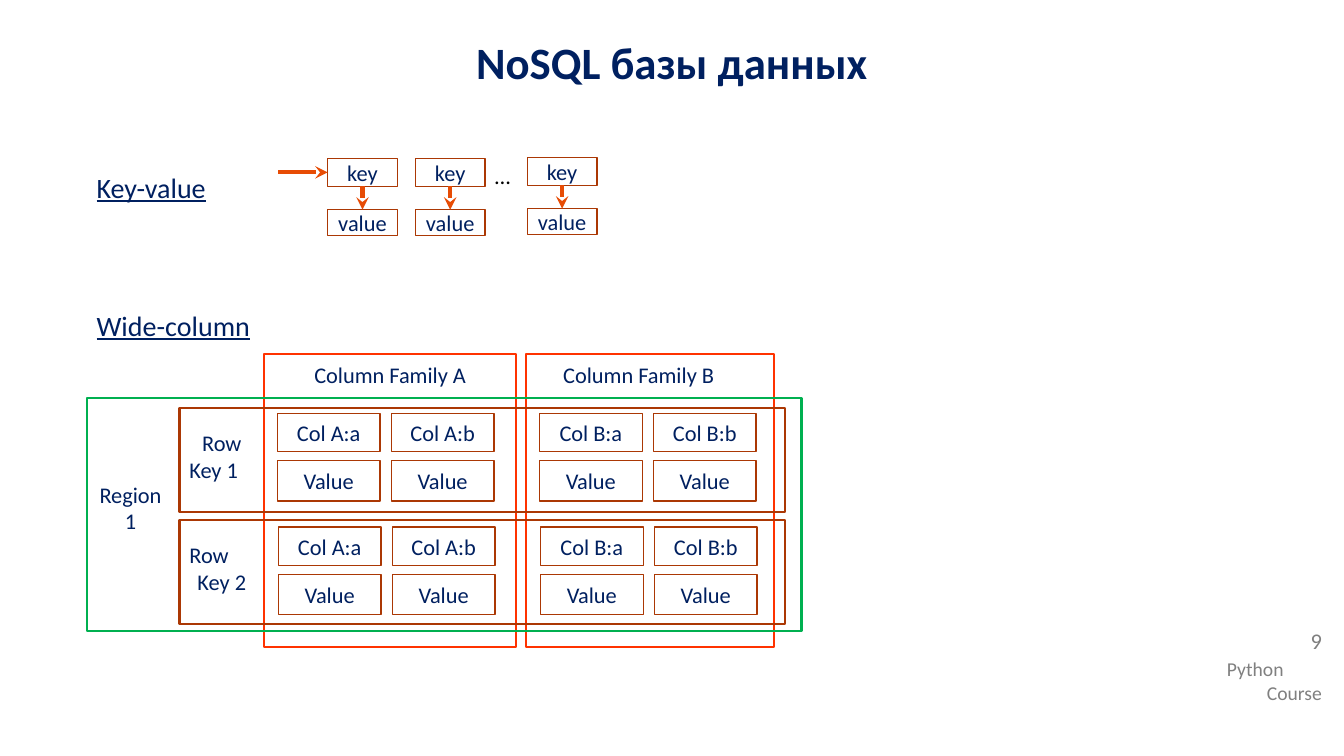
"""Builds the slide on key-value and wide-column NoSQL stores."""
from dataclasses import dataclass

from lxml import etree
from pptx import Presentation
from pptx.dml.color import RGBColor
from pptx.enum.shapes import MSO_CONNECTOR, MSO_SHAPE
from pptx.enum.text import MSO_ANCHOR, PP_ALIGN
from pptx.oxml.ns import qn
from pptx.util import Inches, Pt

RECTANGLE = MSO_SHAPE.RECTANGLE
STRAIGHT = MSO_CONNECTOR.STRAIGHT
TOP, MIDDLE = MSO_ANCHOR.TOP, MSO_ANCHOR.MIDDLE
LEFT, CENTER, RIGHT = PP_ALIGN.LEFT, PP_ALIGN.CENTER, PP_ALIGN.RIGHT
SIDE_TOP, SIDE_LEFT, SIDE_BOTTOM = 0, 1, 2


@dataclass(frozen=True)
class Theme:
    font: str = "Calibri"
    navy: str = "002060"
    gray: str = "808080"
    black: str = "000000"
    brown: str = "AB3804"
    orange: str = "E74C05"
    red: str = "FF3300"
    green: str = "00B050"
    title: int = 32
    heading: int = 20
    body: int = 16
    footer: int = 14
    thin: float = 1
    frame: float = 1.5
    arrow: float = 3


class SlideBuilder:
    def __init__(self, page, theme):
        self.page = page
        self.theme = theme

    def set_text(self, shape, lines, aligns, size, color, anchor=TOP, wrap=True, **extra):
        frame = shape.text_frame
        frame.word_wrap = wrap
        frame.vertical_anchor = anchor
        frame.text = "\n".join(lines)
        formats = {"name": self.theme.font, "size": Pt(size), **extra}
        for para, align in zip(frame.paragraphs, aligns):
            para.alignment = align
            for span in para.runs:
                for name, value in formats.items():
                    setattr(span.font, name, value)
                span.font.color.rgb = RGBColor.from_string(color)
        return frame

    def title(self, text, *place):
        shape = self.page.shapes.title
        names = ("left", "top", "width", "height")
        for name, value in zip(names, place):
            setattr(shape, name, Inches(value))
        frame = self.set_text(shape, [text], [CENTER], self.theme.title,
                              self.theme.navy, MIDDLE, bold=True)
        frame.paragraphs[0].space_after = Pt(5)

    def text(self, lines, place, aligns, size=None, color=None, **extra):
        box = self.page.shapes.add_textbox(*map(Inches, place))
        return self.set_text(box, lines, aligns, size or self.theme.body,
                             color or self.theme.navy, **extra)

    def heading(self, text, *place):
        self.text([text], place, [LEFT], self.theme.heading,
                  wrap=False, underline=True)

    def outline(self, place, color, width):
        box = self.page.shapes.add_shape(RECTANGLE, *map(Inches, place))
        box.shadow.inherit = False
        box.fill.background()
        box.line.color.rgb = RGBColor.from_string(color)
        box.line.width = Pt(width)
        return box

    def cell(self, text, *place):
        box = self.outline(place, self.theme.brown, self.theme.thin)
        frame = self.set_text(box, [text], [CENTER], self.theme.body,
                              self.theme.navy, MIDDLE)
        for side in ("left", "top", "right", "bottom"):
            setattr(frame, f"margin_{side}", 0)
        return box

    def arrow(self, start, end):
        line = self.page.shapes.add_connector(STRAIGHT, *map(Inches, start + end))
        line.line.color.rgb = RGBColor.from_string(self.theme.orange)
        line.line.width = Pt(self.theme.arrow)
        properties = line._element.spPr
        etree.SubElement(properties.find(qn("a:ln")), qn("a:tailEnd"), type="stealth")
        etree.SubElement(properties, qn("a:effectLst"))
        return line


def draw_key_value(builder):
    builder.heading("Key-value", 0.86, 1.64, 1.3, 0.44)
    keys = []
    for left, top in ((3.25, 1.57), (4.12, 1.57), (5.23, 1.56)):
        key = builder.cell("key", left, top, 0.69, 0.28)
        value = builder.cell("value", left, top + 0.51, 0.69, 0.26)
        center = left + 0.35
        link = builder.arrow((center, top + 0.28), (center, top + 0.51))
        link.begin_connect(key, SIDE_BOTTOM)
        link.end_connect(value, SIDE_TOP)
        keys.append(key)
    builder.text(["…"], (4.81, 1.56, 0.36, 0.37), [LEFT],
                 color=builder.theme.black, wrap=False)
    entry = builder.arrow((2.76, 1.71), (3.25, 1.71))
    entry.end_connect(keys[0], SIDE_LEFT)


def draw_wide_column(builder):
    theme = builder.theme
    builder.heading("Wide-column", 0.86, 3.01, 1.73, 0.44)
    families = (("A", 2.62, 2.5, 2.5), ("B", 5.22, 2.46, 2.23))
    for family, left, width, label_width in families:
        builder.outline((left, 3.51, width, 2.91), theme.red, theme.frame)
        builder.text([f"Column Family {family}"],
                     (left, 3.53, label_width, 0.37), [CENTER])
        for row in range(2):
            for column, name in enumerate("ab"):
                x = left + 0.13 + 1.13 * column + 0.01 * row
                y = 4.1 + 1.13 * row
                builder.cell(f"Col {family}:{name}", x, y, 1.02, 0.38)
                builder.cell("Value", x, y + 0.47, 1.02, 0.4)
    for row, aligns in enumerate(((CENTER, LEFT), (LEFT, CENTER))):
        top = 4.05 + 1.11 * row
        builder.outline((1.78, top, 6.01, 1.03), theme.brown, theme.frame)
        builder.text(["Row", f"Key {row + 1}"],
                     (1.78, top + 0.16, 0.84, 0.64), aligns)
    builder.outline((0.86, 3.95, 7.09, 2.31), theme.green, theme.frame)
    builder.text(["Region 1"], (0.86, 4.72, 0.87, 0.64), [CENTER])


def main():
    deck = Presentation()
    deck.slide_width, deck.slide_height = Inches(13.33), Inches(7.5)
    theme = Theme()
    builder = SlideBuilder(deck.slides.add_slide(deck.slide_layouts[5]), theme)
    builder.text(["Python", "Course"], (12.07, 6.47, 1.14, 0.57),
                 (LEFT, RIGHT), theme.footer, theme.gray)
    number = builder.text(["9"], (12.07, 6.2, 1.14, 0.45), [RIGHT], color=theme.gray)
    number.paragraphs[0].line_spacing = 0.9
    builder.title("NoSQL базы данных", 0, 0.23, 13.33, 0.76)
    draw_key_value(builder)
    draw_wide_column(builder)
    deck.save("out.pptx")


if __name__ == "__main__":
    main()
